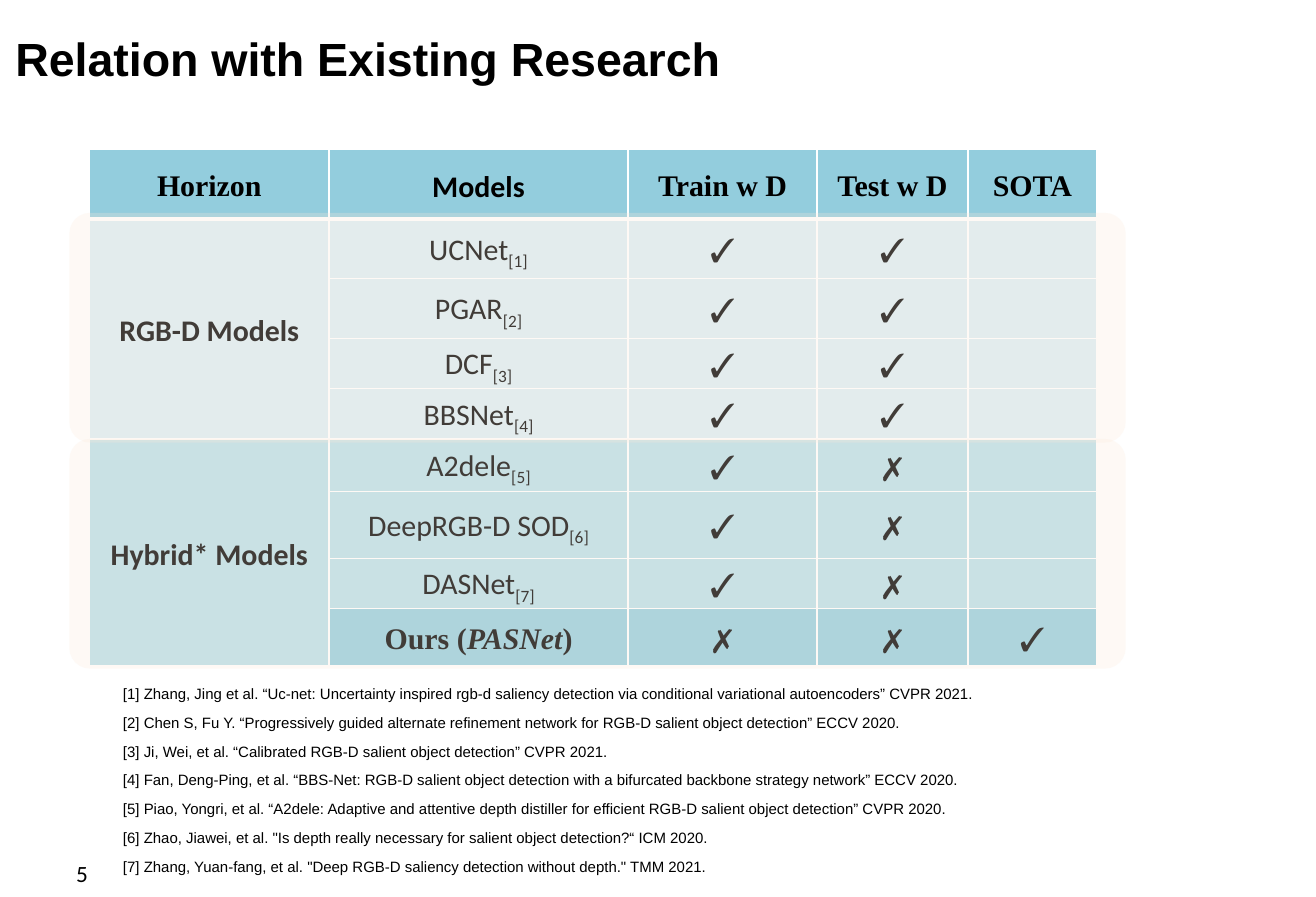
from dataclasses import dataclass

from lxml.etree import SubElement
from pptx import Presentation
from pptx.dml.color import RGBColor as RGB
from pptx.enum.shapes import MSO_SHAPE as Shape
from pptx.enum.text import MSO_ANCHOR as Anchor, PP_ALIGN as Align
from pptx.oxml.ns import qn
from pptx.util import Inches, Pt


@dataclass(frozen=True)
class Theme:
    sans: str = "Arial"
    body: str = "Calibri"
    serif: str = "Times New Roman"
    ink: str = "000000"
    rule: str = "FFFFFF"
    strong: str = "93CDDD"
    medium: str = "B7DEE8"
    light: str = "DBEEF4"
    halo: str = "FDEADA"
    halo_opacity: int = 26
    title_pt: int = 28
    cell_pt: int = 18
    mark_pt: int = 20
    page_pt: int = 14
    note_pt: int = 9


T = Theme()
YES, NO = "✓", "✗"
COLUMNS = [2, 2.5, 1.58, 1.26, 1.08]
ROWS = [0.58, 0.5, 0.5, 0.42, 0.42, 0.44, 0.56, 0.42, 0.48]
TABLE_LEFT, TABLE_TOP = 0.75, 1.25
HEADERS = ["Horizon", "Models", "Train w D", "Test w D", "SOTA"]
GROUPS = [
    ("RGB-D Models", T.light, YES, ["UCNet", "PGAR", "DCF", "BBSNet"]),
    ("Hybrid* Models", T.medium, NO, ["A2dele", "DeepRGB-D SOD", "DASNet"]),
]
REFERENCES = [
    "Zhang, Jing et al. “Uc-net: Uncertainty inspired rgb-d saliency detection "
    "via conditional variational autoencoders” CVPR 2021.",
    "Chen S, Fu Y. “Progressively guided alternate refinement network "
    "for RGB-D salient object detection” ECCV 2020.",
    "Ji, Wei, et al. “Calibrated RGB-D salient object detection” CVPR 2021.",
    "Fan, Deng-Ping, et al. “BBS-Net: RGB-D salient object detection "
    "with a bifurcated backbone strategy network” ECCV 2020.",
    "Piao, Yongri, et al. “A2dele: Adaptive and attentive depth distiller "
    "for efficient RGB-D salient object detection” CVPR 2020.",
    "Zhao, Jiawei, et al. \"Is depth really necessary for salient object detection?“ ICM 2020.",
    "Zhang, Yuan-fang, et al. \"Deep RGB-D saliency detection without depth.\" TMM 2021.",
]


def style_paragraph(p, name, size, bold=False, align=Align.CENTER, spacing=1.0):
    p.alignment, p.line_spacing = align, spacing
    font = p.font
    font.name, font.size, font.bold = name, Pt(size), bold
    font.color.rgb = RGB.from_string(T.ink)


def add_text(s, box, lines, name, size, **style):
    tf = s.shapes.add_textbox(*map(Inches, box)).text_frame
    tf.word_wrap, tf.vertical_anchor = True, Anchor.MIDDLE
    for i, line in enumerate(lines):
        p = tf.add_paragraph() if i else tf.paragraphs[0]
        p.add_run().text = line
        style_paragraph(p, name, size, **style)


def add_halo(s, top):
    """Translucent rounded band behind one group of models."""
    sp = s.shapes.add_shape(Shape.ROUNDED_RECTANGLE, *map(Inches, (0.58, top, 8.83, 1.92)))
    sp.adjustments[0] = 0.09
    sp.shadow.inherit = False
    sp.line.fill.background()
    sp.fill.solid()
    sp.fill.fore_color.rgb = RGB.from_string(T.halo)
    color = sp.fill._xPr.find(qn("a:solidFill"))[0]
    SubElement(color, qn("a:alpha"), val=str(T.halo_opacity * 1000))


def set_borders(cell, top=1, bottom=1):
    props = cell._tc.get_or_add_tcPr()
    widths = {"a:lnL": 1, "a:lnR": 1, "a:lnT": top, "a:lnB": bottom}
    for i, (tag, width) in enumerate(widths.items()):
        line = props.makeelement(qn(tag), {"w": str(Pt(width))})
        SubElement(SubElement(line, qn("a:solidFill")), qn("a:srgbClr"), val=T.rule)
        props.insert(i, line)


def fill_cell(cell, color, runs=(), name=T.body, size=T.cell_pt, bold=False):
    """Fill a cell; returns its runs so that single ones can be changed."""
    cell.fill.solid()
    cell.fill.fore_color.rgb = RGB.from_string(color)
    cell.vertical_anchor = Anchor.MIDDLE
    cell.margin_left = cell.margin_right = Inches(0.02)
    cell.margin_top = cell.margin_bottom = 0
    p = cell.text_frame.paragraphs[0]
    style_paragraph(p, name, size, bold, spacing=1.15)
    for text in runs:
        p.add_run().text = text
    return p.runs


def fill_marks(table, row, color, marks):
    for col, mark in enumerate(marks, start=2):
        fill_cell(table.cell(row, col), color, [mark] if mark else [], T.serif, T.mark_pt)


def add_model_table(s):
    box = TABLE_LEFT, TABLE_TOP, sum(COLUMNS), sum(ROWS)
    table = s.shapes.add_table(len(ROWS), len(COLUMNS), *map(Inches, box)).table
    table.first_row = table.horz_banding = False
    for column, width in zip(table.columns, COLUMNS):
        column.width = Inches(width)
    for row, height in zip(table.rows, ROWS):
        row.height = Inches(height)

    for col, header in enumerate(HEADERS):
        name = T.body if header == "Models" else T.serif
        fill_cell(table.cell(0, col), T.strong, [header], name, bold=True)

    number = 0
    for first, (group, color, test_mark, models) in zip((1, 5), GROUPS):
        table.cell(first, 0).merge(table.cell(first + 3, 0))
        fill_cell(table.cell(first, 0), color, [group], bold=True)
        for row, model in enumerate(models, start=first):
            number += 1
            runs = fill_cell(table.cell(row, 1), color, [model, f"[{number}]"])
            runs[1].font._element.set("baseline", "-25000")
            fill_marks(table, row, color, [YES, test_mark, ""])

    last = len(ROWS) - 1
    ours = fill_cell(table.cell(last, 1), T.strong, ["Ours (", "PASNet", ")"], T.serif, bold=True)
    ours[1].font.italic = True
    fill_marks(table, last, T.strong, [NO, NO, YES])

    for row in range(len(ROWS)):
        for col in range(len(COLUMNS)):
            set_borders(table.cell(row, col), 3 if row == 1 else 1, 3 if row == 0 else 1)


def main():
    prs = Presentation()
    prs.slide_width, prs.slide_height = Inches(11), Inches(7.5)
    s = prs.slides.add_slide(prs.slide_layouts[6])

    add_text(s, (0, 7.1, 1.37, 0.4), ["5"], T.body, T.page_pt)
    add_text(s, (0.03, 0.02, 6.22, 0.92), ["Relation with Existing Research"],
             T.sans, T.title_pt, bold=True, align=Align.JUSTIFY)
    add_model_table(s)
    add_halo(s, 1.78)
    notes = [f"[{i}] {text}" for i, text in enumerate(REFERENCES, start=1)]
    add_text(s, (0.93, 5.59, 8.5, 1.77), notes, T.sans, T.note_pt,
             align=Align.JUSTIFY, spacing=1.6)
    add_halo(s, 3.67)
    prs.save("out.pptx")


if __name__ == "__main__":
    main()
